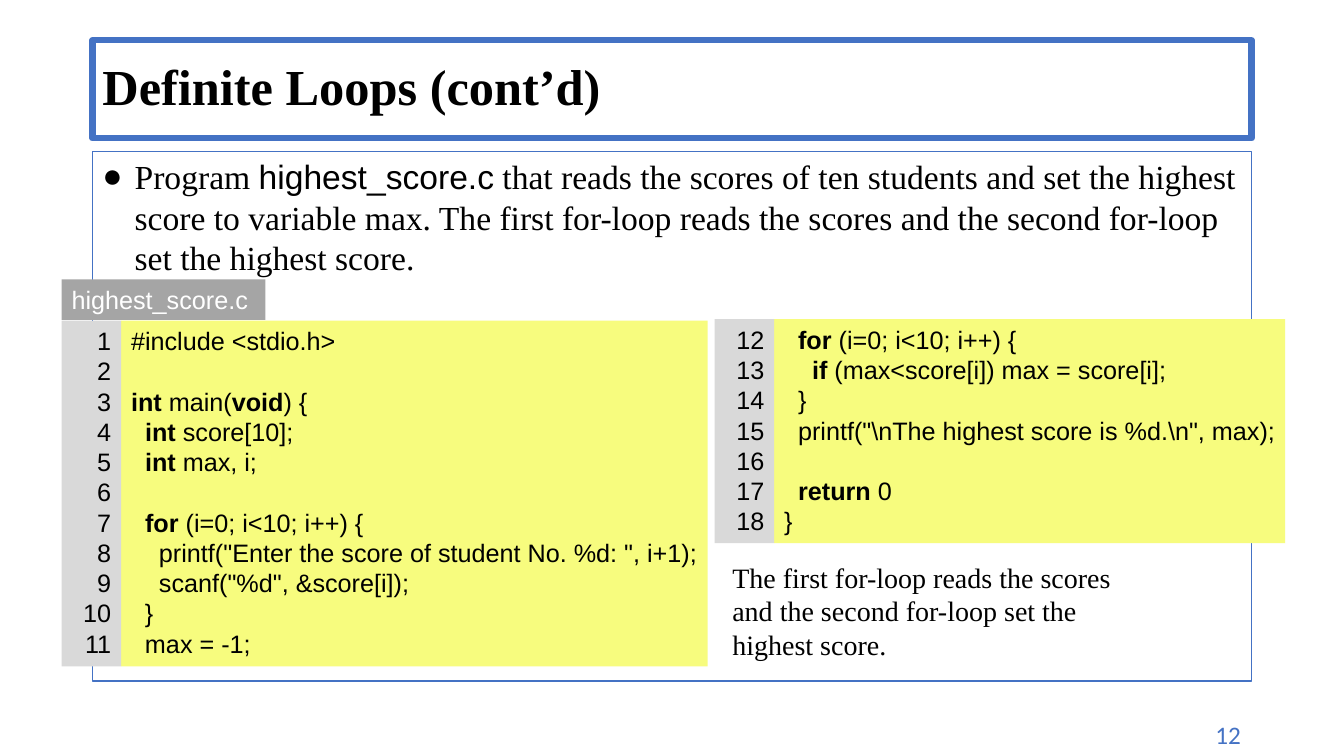
from lxml import etree
from pptx import Presentation
from pptx.dml.color import RGBColor
from pptx.enum.text import MSO_ANCHOR as Anchor, MSO_AUTO_SIZE as AutoSize, PP_ALIGN as Align
from pptx.oxml.ns import qn
from pptx.util import Pt

BLUE = RGBColor(0x44, 0x72, 0xC4)
BLACK = RGBColor(0x00, 0x00, 0x00)
WHITE = RGBColor(0xFF, 0xFF, 0xFF)
TAB_GRAY = RGBColor(0xA5, 0xA5, 0xA5)
GUTTER_GRAY = RGBColor(0xD9, 0xD9, 0xD9)
CODE_YELLOW = RGBColor(0xF7, 0xFC, 0x7E)
SERIF, SANS = "Times New Roman", "Arial"
GUTTER_WIDTH = 42.5

# Keywords between asterisks are bold.
FIRST_PART = r"""#include <stdio.h>

*int *main(*void*) {
  *int *score[10];
  *int *max, i;

  *for *(i=0; i<10; i++) {
    printf("Enter the score of student No. %d: ", i+1);
    scanf("%d", &score[i]);
  }
  max = -1;"""
SECOND_PART = r"""  *for *(i=0; i<10; i++) {
    *if *(max<score[i]) max = score[i];
  }
  printf("\nThe highest score is %d.\n", max);

  *return *0
}"""


def add_run(paragraph, text, name, size, color=BLACK, bold=False):
    run = paragraph.add_run()
    run.text = text
    for attribute, value in {"name": name, "size": Pt(size), "bold": bold}.items():
        setattr(run.font, attribute, value)
    run.font.color.rgb = color


def add_box(left, top, width, height, lines, name=SANS, size=18, color=BLACK,
            fill=None, align=Align.LEFT):
    """Add a text box with one paragraph a line; asterisks switch bold on and off."""
    box = slide.shapes.add_textbox(Pt(left), Pt(top), Pt(width), Pt(height))
    if fill is not None:
        box.fill.solid()
        box.fill.fore_color.rgb = fill
    frame = box.text_frame
    frame.word_wrap = True
    if align == Align.LEFT:
        frame.margin_right = 0
    for index, line in enumerate(lines):
        paragraph = frame.add_paragraph() if index else frame.paragraphs[0]
        paragraph.alignment = align
        for position, part in enumerate(line.split("*")):
            if part or not line:
                add_run(paragraph, part, name, size, color, position % 2 == 1)


presentation = Presentation()
presentation.slide_width, presentation.slide_height = Pt(960), Pt(540)
slide = presentation.slides.add_slide(presentation.slide_layouts[1])
title, body = slide.shapes.title, slide.placeholders[1]

for placeholder, top, height, line_width, anchor in [
    (title, 28.8, 70, 4.5, Anchor.MIDDLE),
    (body, 108, 378.5, 1, Anchor.TOP),
]:
    placeholder.left, placeholder.top = Pt(66), Pt(top)
    placeholder.width, placeholder.height = Pt(828), Pt(height)
    placeholder.line.color.rgb = BLUE
    placeholder.line.width = Pt(line_width)
    placeholder.text_frame.auto_size = AutoSize.NONE
    placeholder.text_frame.word_wrap = True
    placeholder.text_frame.vertical_anchor = anchor

heading = title.text_frame.paragraphs[0]
heading.alignment = Align.LEFT
heading.line_spacing = 0.9
add_run(heading, "Definite Loops (cont’d)", SERIF, 36, bold=True)

task = body.text_frame.paragraphs[0]
task.alignment = Align.LEFT
task.space_before = Pt(0)
properties = task._p.get_or_add_pPr()
properties.set("marL", str(Pt(23)))
properties.set("indent", str(-Pt(23)))
etree.SubElement(properties, qn("a:buFont"), typeface=SERIF)
etree.SubElement(properties, qn("a:buChar"), char="●")
for text, name in [
    ("Program ", SERIF),
    ("highest_score.c", SANS),
    (" that reads the scores of ten students and set the highest score to variable max. "
     "The first for-loop reads the scores and the second for-loop set the highest score.", SERIF),
]:
    add_run(task, text, name, 24)

add_box(44, 199.5, 145.5, 29, ["highest_score.c"], color=WHITE, fill=TAB_GRAY)

first_number = 1
for left, top, code_width, height, code in [
    (44, 229, 419, 247, FIRST_PART),
    (510.5, 228, 365, 160, SECOND_PART),
]:
    lines = code.split("\n")
    numbers = [str(first_number + index) for index in range(len(lines))]
    add_box(left + GUTTER_WIDTH, top, code_width, height, lines, fill=CODE_YELLOW)
    add_box(left, top, GUTTER_WIDTH, height, numbers, fill=GUTTER_GRAY, align=Align.RIGHT)
    first_number += len(lines)

add_box(516, 396.5, 289, 80,
        ["The first for-loop reads the scores and the second for-loop set the highest score."],
        name=SERIF, size=20)
add_box(780.5, 510, 113, 29, ["12"], name="Calibri", color=BLUE, align=Align.RIGHT)

presentation.save("out.pptx")
